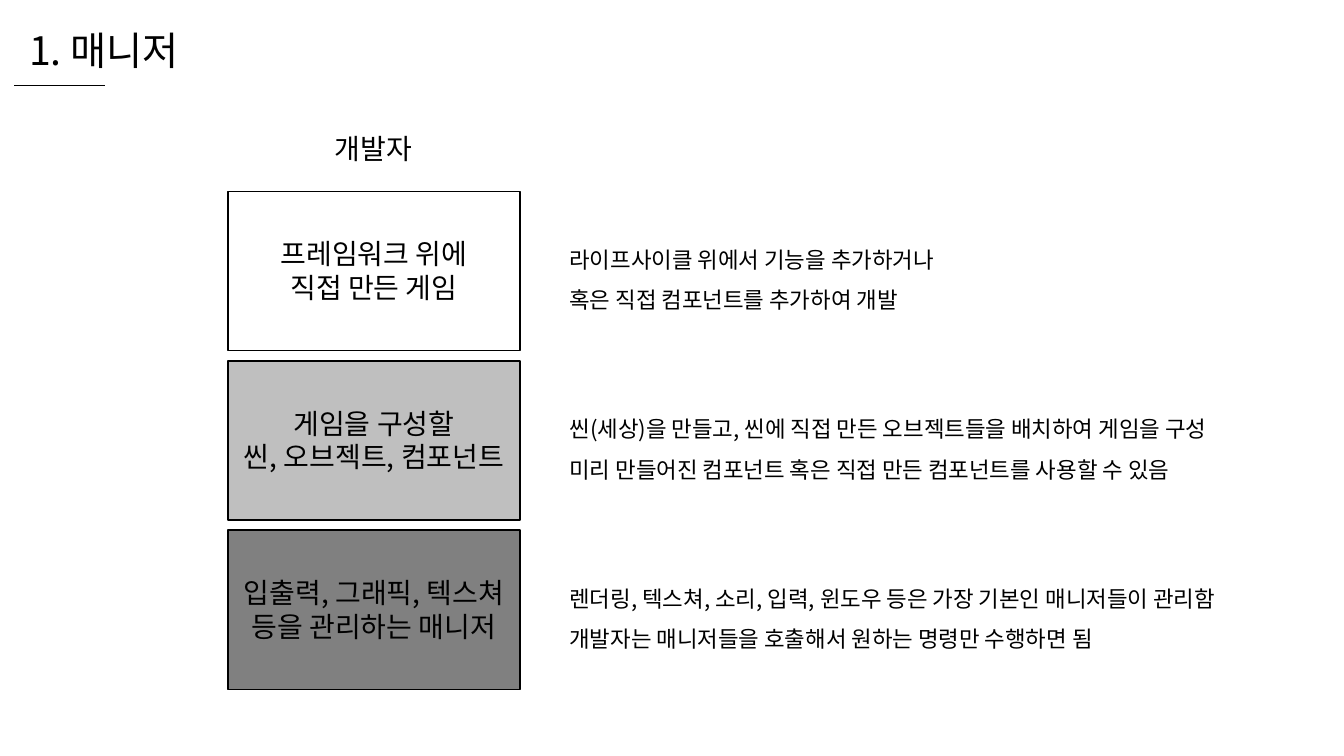
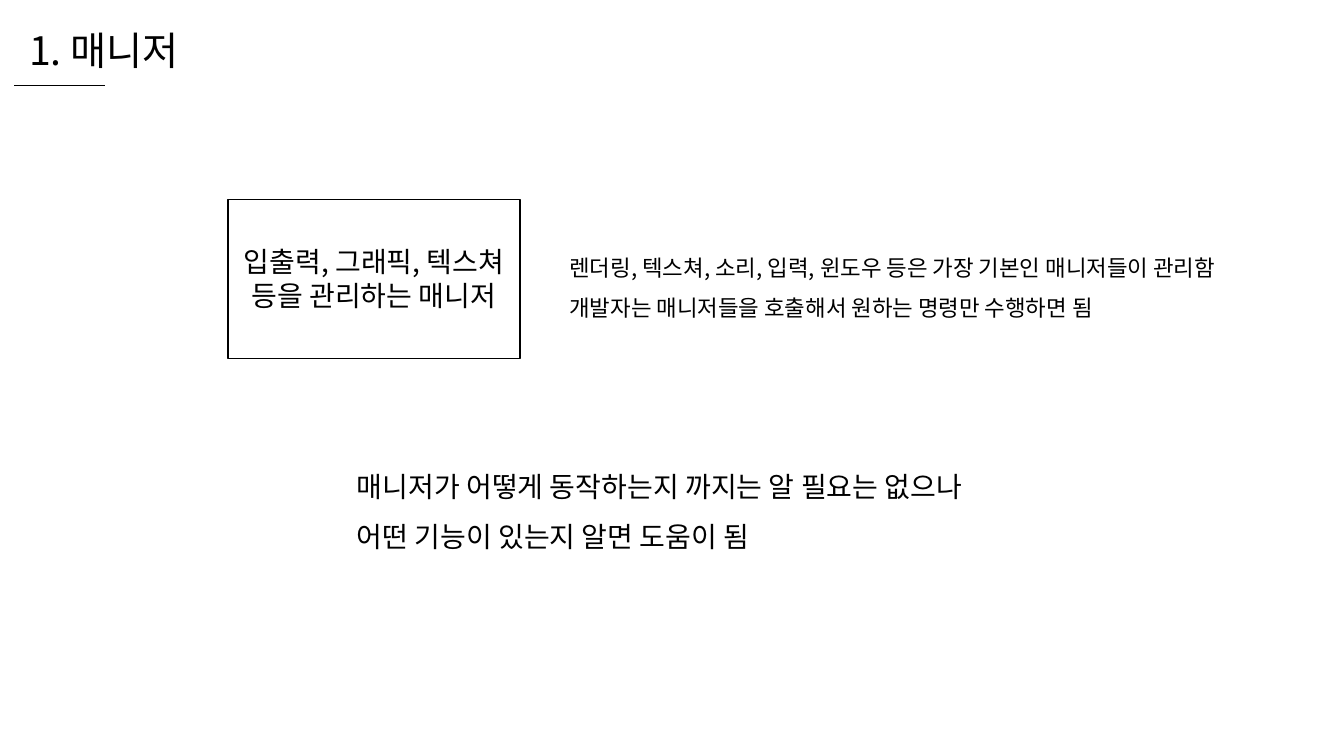
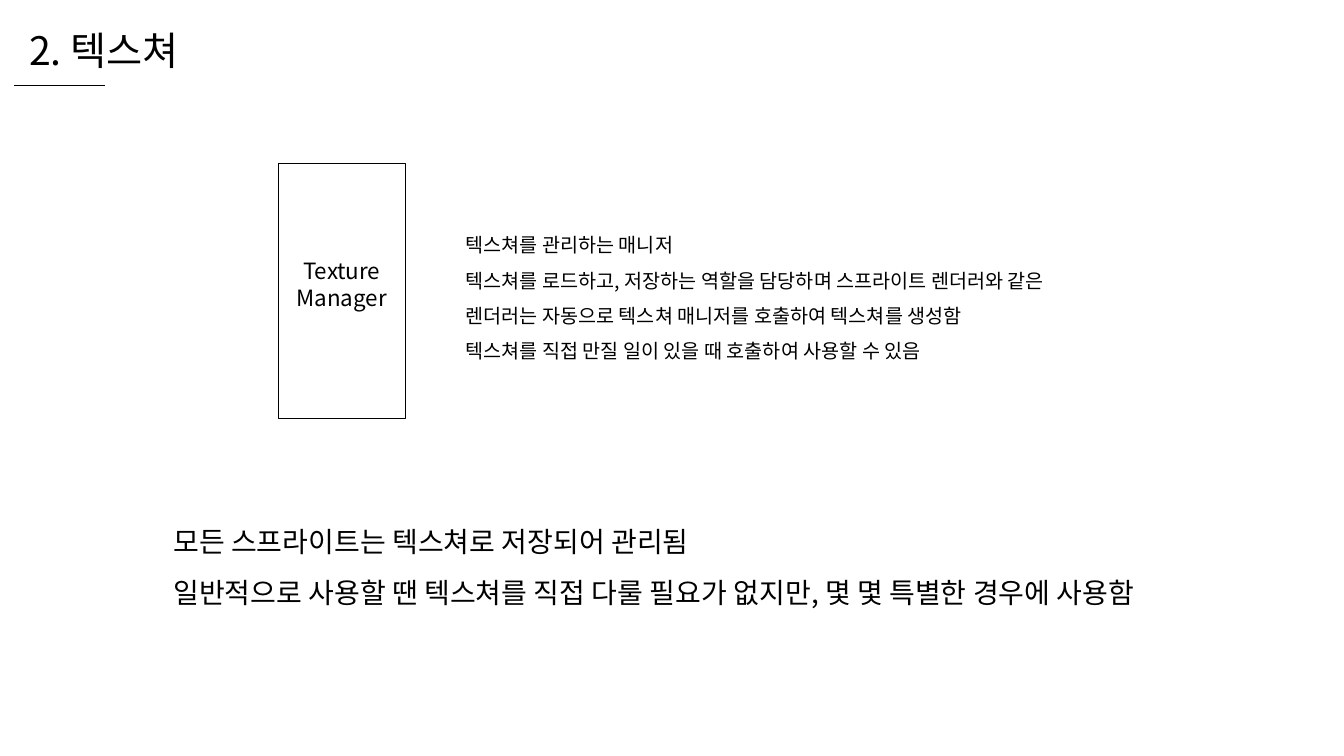
"""Builds three slides on framework managers and textures."""
from lxml import etree
from pptx import Presentation
from pptx.dml.color import RGBColor
from pptx.enum import shapes, text
from pptx.oxml import ns
from pptx.util import Inches, Pt

FONT = "Noto Sans CJK KR"
COLORS = {"ink": "000000", "paper": "FFFFFF", "light": "BFBFBF", "dark": "808080"}

MANAGER_LABEL = ["입출력, 그래픽, 텍스쳐", "등을 관리하는 매니저"]
MANAGER_NOTES = [
    "렌더링, 텍스쳐, 소리, 입력, 윈도우 등은 가장 기본인 매니저들이 관리함",
    "개발자는 매니저들을 호출해서 원하는 명령만 수행하면 됨",
]
LAYERS = [
    (["프레임워크 위에", "직접 만든 게임"],
     ["라이프사이클 위에서 기능을 추가하거나", "혹은 직접 컴포넌트를 추가하여 개발"],
     3.97, "paper"),
    (["게임을 구성할", "씬, 오브젝트, 컴포넌트"],
     ["씬(세상)을 만들고, 씬에 직접 만든 오브젝트들을 배치하여 게임을 구성",
      "미리 만들어진 컴포넌트 혹은 직접 만든 컴포넌트를 사용할 수 있음"],
     6.83, "light"),
    (MANAGER_LABEL, MANAGER_NOTES, 6.93, "dark"),
]


def color(name):
    return RGBColor.from_string(COLORS[name])


def write(box, lines, size=20, align=text.PP_ALIGN.LEFT, spacing=1.0, inset=0.05):
    frame = box.text_frame
    frame.word_wrap = True
    frame.auto_size = text.MSO_AUTO_SIZE.NONE
    frame.vertical_anchor = text.MSO_ANCHOR.TOP
    frame.margin_left = frame.margin_right = Inches(0.1)
    frame.margin_top, frame.margin_bottom = Inches(inset), Inches(0.05)
    for index, line in enumerate(lines):
        para = frame.add_paragraph() if index else frame.paragraphs[0]
        para.alignment = align
        para.line_spacing = spacing
        span = para.add_run()
        span.text = line
        span.font.name = FONT
        span.font.size = Pt(size)
        span.font.color.rgb = color("ink")
        east_asian = etree.SubElement(span.font._element, ns.qn("a:ea"))
        east_asian.set("typeface", FONT)


class Deck:
    def __init__(self):
        self.deck = Presentation()
        self.deck.slide_width = Inches(13.33)
        self.deck.slide_height = Inches(7.5)
        self.page = None

    def add_page(self, title):
        self.page = self.deck.slides.add_slide(self.deck.slide_layouts[5])
        box = self.page.shapes.title
        box.left, box.top = Inches(0.19), Inches(0.21)
        box.width, box.height = Inches(1.78), Inches(0.57)
        write(box, [title], size=28)
        rule = self.page.shapes.add_connector(
            shapes.MSO_CONNECTOR.STRAIGHT,
            Inches(0.14), Inches(0.85), Inches(1.04), Inches(0.85))
        rule.line.color.rgb = color("ink")
        rule.line.width = Pt(0.5)
        etree.SubElement(rule._element.spPr, ns.qn("a:effectLst"))

    def add_text(self, left, top, width, height, lines, **style):
        box = self.page.shapes.add_textbox(
            Inches(left), Inches(top), Inches(width), Inches(height))
        write(box, lines, **style)

    def add_block(self, left, top, width, height, lines, fill="paper", **style):
        box = self.page.shapes.add_shape(
            shapes.MSO_SHAPE.RECTANGLE,
            Inches(left), Inches(top), Inches(width), Inches(height))
        box.shadow.inherit = False
        box.fill.solid()
        box.fill.fore_color.rgb = color(fill)
        box.line.color.rgb = color("ink")
        box.line.width = Pt(1)
        write(box, lines, align=text.PP_ALIGN.CENTER, **style)

    def add_layer(self, top, label, notes, notes_width, fill):
        self.add_block(2.26, top, 2.9, 1.58, label, fill=fill, inset=0.45)
        self.add_text(5.55, top + 0.36, notes_width, 0.86, notes, size=16, spacing=1.5)

    def save(self):
        self.deck.save("out.pptx")


def main():
    deck = Deck()

    deck.add_page("1. 매니저")
    deck.add_text(3.21, 1.26, 0.99, 0.44, ["개발자"], align=text.PP_ALIGN.CENTER)
    for index, layer in enumerate(LAYERS):
        deck.add_layer(1.9 + 1.68 * index, *layer)

    deck.add_page("1. 매니저")
    deck.add_layer(1.98, MANAGER_LABEL, MANAGER_NOTES, 6.93, "paper")
    deck.add_text(3.44, 4.44, 6.46, 1.05, [
        "매니저가 어떻게 동작하는지 까지는 알 필요는 없으나",
        "어떤 기능이 있는지 알면 도움이 됨",
    ], spacing=1.5)

    deck.add_page("2. 텍스쳐")
    deck.add_block(2.76, 1.62, 1.26, 2.53, ["Texture", "Manager"], size=16, inset=0.93)
    deck.add_text(4.52, 2.15, 6.16, 1.47, [
        "텍스쳐를 관리하는 매니저",
        "텍스쳐를 로드하고, 저장하는 역할을 담당하며 스프라이트 렌더러와 같은",
        "렌더러는 자동으로 텍스쳐 매니저를 호출하여 텍스쳐를 생성함",
        "텍스쳐를 직접 만질 일이 있을 때 호출하여 사용할 수 있음",
    ], size=14, spacing=1.5)
    deck.add_text(1.62, 4.99, 10.09, 1.05, [
        "모든 스프라이트는 텍스쳐로 저장되어 관리됨",
        "일반적으로 사용할 땐 텍스쳐를 직접 다룰 필요가 없지만, 몇 몇 특별한 경우에 사용함",
    ], spacing=1.5)

    deck.save()


if __name__ == "__main__":
    main()
